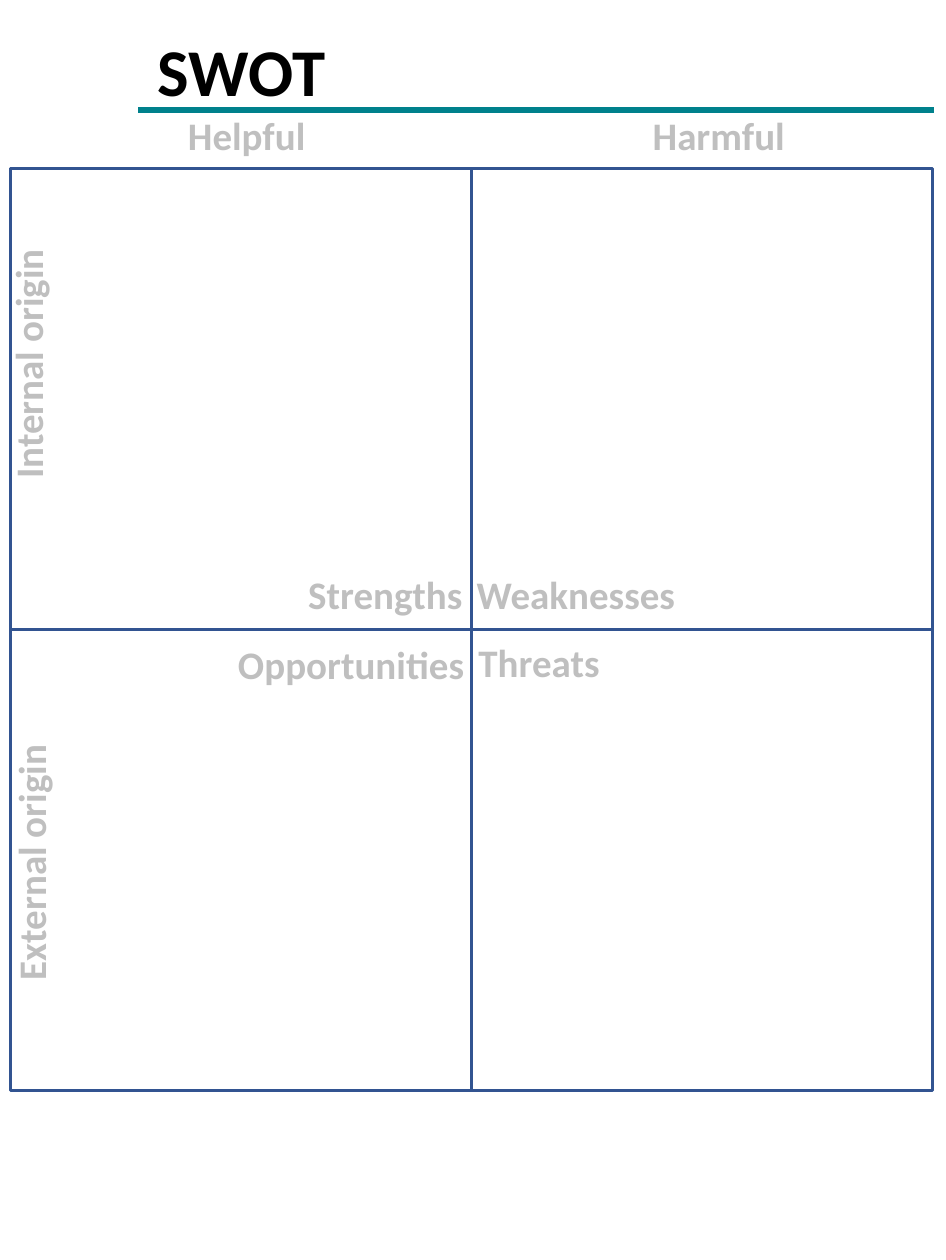
from lxml import etree
from pptx import Presentation
from pptx.dml.color import RGBColor
from pptx.enum.shapes import MSO_CONNECTOR, MSO_SHAPE
from pptx.enum.text import MSO_AUTO_SIZE
from pptx.oxml.ns import qn
from pptx.util import Pt

STRAIGHT, RECTANGLE = MSO_CONNECTOR.STRAIGHT, MSO_SHAPE.RECTANGLE
GROW = MSO_AUTO_SIZE.SHAPE_TO_FIT_TEXT

# Content: text, centre x, centre y, width, rotation
LABELS = [
    ("Helpful", 88.9, 48.8, 56.9, 0),
    ("Harmful", 258.8, 48.8, 62.6, 0),
    ("Internal origin", 10.1, 130.3, 97.9, 270),
    ("External origin", 11.2, 309.5, 100.1, 270),
    ("Strengths", 139, 213.8, 70.6, 0),
    ("Weaknesses", 207.4, 213.8, 86.4, 0),
    ("Opportunities", 126.7, 239, 96.5, 0),
    ("Threats", 194, 238.3, 58.3, 0),
]
TITLE = ("SWOT", 49.7, 7.2, 85, 36.4)
TITLE_FORMAT = {"size": Pt(24), "bold": True, "name": "Calibri"}
LABEL_FORMAT = {"size": Pt(14), "bold": True, "name": "Calibri"}
BLACK, GREY, TEAL, BLUE = "000000", "BFBFBF", "00818C", "325491"

# Layout
PAGE_WIDTH, PAGE_HEIGHT = 340, 453
GRID_LEFT, GRID_TOP, CELL = 3.8, 60.7, 165.7
RULE_LEFT, RULE_RIGHT, RULE_Y = 49.7, 335.8, 39.7
LABEL_HEIGHT = 24.3


def paint(target, colour):
    target.rgb = RGBColor.from_string(colour)


def add_text(page, text, left, top, width, height, formats, colour, wrap):
    box = page.shapes.add_textbox(Pt(left), Pt(top), Pt(width), Pt(height))
    frame = box.text_frame
    frame.word_wrap = wrap
    frame.auto_size = GROW
    span = frame.paragraphs[0].add_run()
    span.text = text
    for name, value in formats.items():
        setattr(span.font, name, value)
    paint(span.font.color, colour)
    return box


def main():
    deck = Presentation()
    deck.slide_width, deck.slide_height = Pt(PAGE_WIDTH), Pt(PAGE_HEIGHT)
    page = deck.slides.add_slide(deck.slide_layouts[6])

    # Title and rule
    rule = page.shapes.add_connector(
        STRAIGHT, Pt(RULE_LEFT), Pt(RULE_Y), Pt(RULE_RIGHT), Pt(RULE_Y))
    rule.line.width = Pt(2.25)
    paint(rule.line.color, TEAL)
    etree.SubElement(rule.element.spPr, qn("a:effectLst"))
    add_text(page, *TITLE, TITLE_FORMAT, BLACK, True)

    # Two by two grid
    for row in range(2):
        for column in range(2):
            quadrant = page.shapes.add_shape(
                RECTANGLE, Pt(GRID_LEFT + column * CELL),
                Pt(GRID_TOP + row * CELL), Pt(CELL), Pt(CELL))
            quadrant.shadow.inherit = False
            quadrant.fill.background()
            quadrant.line.width = Pt(1)
            paint(quadrant.line.color, BLUE)

    # Labels
    for text, centre_x, centre_y, width, rotation in LABELS:
        label = add_text(
            page, text, centre_x - width / 2, centre_y - LABEL_HEIGHT / 2,
            width, LABEL_HEIGHT, LABEL_FORMAT, GREY, False)
        label.rotation = rotation

    deck.save("out.pptx")


if __name__ == "__main__":
    main()
